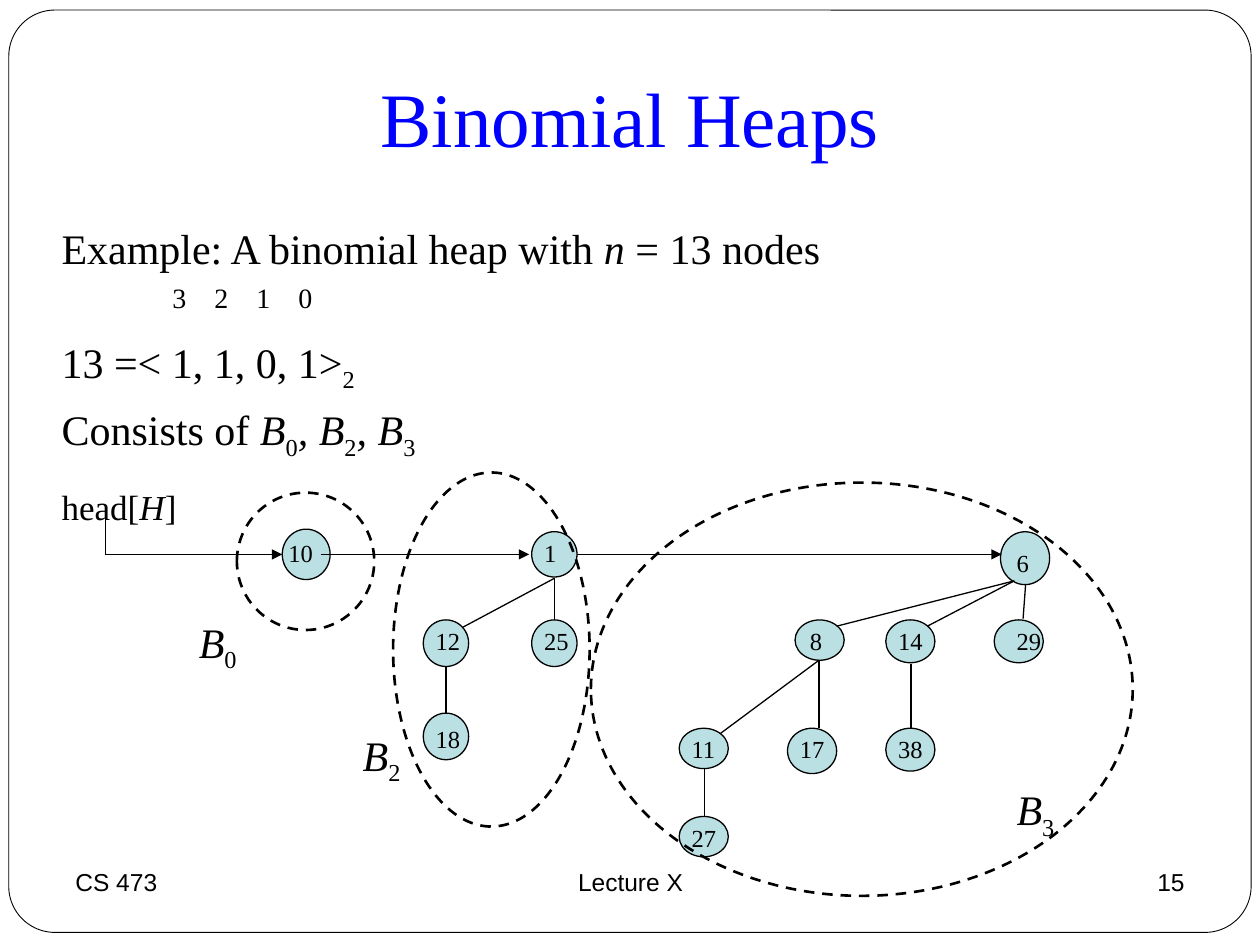
"""Build the binomial heap example slide."""
from lxml import etree
from pptx import Presentation
from pptx.dml.color import RGBColor
from pptx.enum.dml import MSO_LINE
from pptx.enum.shapes import MSO_CONNECTOR, MSO_SHAPE
from pptx.enum.text import MSO_ANCHOR, PP_ALIGN
from pptx.oxml.ns import qn
from pptx.util import Inches, Pt

STRAIGHT = MSO_CONNECTOR.STRAIGHT
OVAL, ROUNDED = MSO_SHAPE.OVAL, MSO_SHAPE.ROUNDED_RECTANGLE
DASH = MSO_LINE.DASH
TOP, MIDDLE = MSO_ANCHOR.TOP, MSO_ANCHOR.MIDDLE
LEFT, CENTER, RIGHT = PP_ALIGN.LEFT, PP_ALIGN.CENTER, PP_ALIGN.RIGHT
COLORS = {"ink": "000000", "title": "0000FF", "node": "BBE0E3", "paper": "FFFFFF"}
SERIF, SANS = "Times New Roman", "Arial"
ITALIC, SUB = {"italic": True}, {"sub": True}

prs = Presentation()
prs.slide_width, prs.slide_height = Inches(10), Inches(7.5)
slide = prs.slides.add_slide(prs.slide_layouts[6])
shapes = slide.shapes


def add_text(place, paragraphs, size, font=SERIF, color="ink", align=LEFT, anchor=TOP):
    frame = shapes.add_textbox(*map(Inches, place)).text_frame
    frame.word_wrap = True
    frame.vertical_anchor = anchor
    for number, (spacing, runs) in enumerate(paragraphs):
        paragraph = frame.paragraphs[0] if number == 0 else frame.add_paragraph()
        paragraph.alignment = align
        for name, value in spacing.items():
            setattr(paragraph, name, value)
        for words, changes in runs:
            run = paragraph.add_run()
            run.text = words
            look = {"size": Pt(size), "name": font, "italic": False} | changes
            if look.pop("sub", False):
                run._r.get_or_add_rPr().set("baseline", "-25000")
            for name, value in look.items():
                setattr(run.font, name, value)
            run.font.color.rgb = RGBColor.from_string(COLORS[color])
    return frame


def add_outline(kind, place, fill=None, width=0.75):
    shape = shapes.add_shape(kind, *map(Inches, place))
    shape.shadow.inherit = False
    if fill:
        shape.fill.solid()
        shape.fill.fore_color.rgb = RGBColor.from_string(COLORS[fill])
    else:
        shape.fill.background()
    shape.line.color.rgb = RGBColor.from_string(COLORS["ink"])
    shape.line.width = Pt(width)
    return shape


border = add_outline(ROUNDED, (0.07, 0.08, 9.86, 7.32), "paper", 0.5)
border.adjustments[0] = 0.05

for left, width, words, align in [
    (0.5, 2.33, "CS 473", LEFT),
    (3.42, 3.17, "Lecture X", CENTER),
    (7.17, 2.33, "15", RIGHT),
]:
    add_text((left, 6.83, width, 0.52), [({}, [(words, {})])], 14, SANS, align=align)

add_text((0.5, 0.3, 9, 1.25), [({}, [("Binomial Heaps", {})])], 44,
         color="title", align=CENTER, anchor=MIDDLE)

example = add_text((0.39, 1.72, 9.15, 5.05), [
    ({}, [("Example: A binomial heap with ", {}), ("n ", ITALIC), ("= 13 nodes", {})]),
    ({"space_before": Pt(6), "line_spacing": 0.6},
     [("\t", {}), ("3\t2\t1\t0", {"size": Pt(16)})]),
    ({"space_before": Pt(6), "line_spacing": 1.2}, [("13 =< 1, 1, 0, 1>", {}), ("2", SUB)]),
    ({"space_before": Pt(6)},
     [("Consists of ", {}), ("B", ITALIC), ("0", SUB), (", B", ITALIC), ("2", SUB),
      (", B", ITALIC), ("3", SUB)]),
    ({"space_before": Pt(14)},
     [("head[", {"size": Pt(20)}), ("H", {"size": Pt(20), "italic": True}),
      ("]", {"size": Pt(20)})]),
], 24)
bit_tabs = etree.SubElement(example.paragraphs[1]._p.get_or_add_pPr(), qn("a:tabLst"))
for bit in range(4):
    etree.SubElement(bit_tabs, qn("a:tab"), pos=str(Inches(0.88 + bit / 3)), algn="l")

nodes = [
    ("10", (2.24, 4.2, 0.38, 0.4), (2.19, 4.22)),
    ("1", (4.22, 4.22, 0.36, 0.36), (4.22, 4.22)),
    ("12", (3.36, 4.92, 0.36, 0.37), (3.36, 4.92)),
    ("25", (4.22, 4.92, 0.36, 0.37), (4.22, 4.92)),
    ("18", (3.36, 5.66, 0.36, 0.37), (3.36, 5.7)),
    ("6", (7.94, 4.22, 0.39, 0.42), (7.97, 4.3)),
    ("8", (6.31, 4.92, 0.39, 0.32), (6.33, 4.92)),
    ("14", (7.03, 4.92, 0.39, 0.34), (7.03, 4.92)),
    ("29", (7.89, 4.92, 0.39, 0.34), (7.97, 4.92)),
    ("11", (5.39, 5.78, 0.39, 0.32), (5.39, 5.78)),
    ("17", (6.25, 5.78, 0.39, 0.36), (6.25, 5.78)),
    ("38", (7.03, 5.78, 0.39, 0.34), (7.03, 5.78)),
    ("27", (5.39, 6.48, 0.39, 0.32), (5.39, 6.48)),
]
for key, circle, corner in nodes:
    add_outline(OVAL, circle, "node")

tree_edges = [
    (4.4, 4.59, 3.67, 4.98), (4.4, 4.59, 4.4, 4.92), (3.54, 5.29, 3.54, 5.66),
    (8.05, 4.61, 6.64, 4.97), (8.05, 4.61, 7.36, 4.97), (8.14, 4.64, 8.12, 4.91),
    (6.5, 5.24, 5.72, 5.82), (6.5, 5.24, 6.5, 5.78), (7.23, 5.27, 7.23, 5.78),
    (5.59, 6.1, 5.59, 6.48), (0.84, 4.06, 0.84, 4.4),
]
root_links = [(0.83, 4.4, 2.24, 4.4), (2.55, 4.4, 4.2, 4.4), (4.58, 4.4, 7.95, 4.4)]
for ends in tree_edges + root_links:
    link = shapes.add_connector(STRAIGHT, *map(Inches, ends))
    link.line.color.rgb = RGBColor.from_string(COLORS["ink"])
    link.line.width = Pt(0.75)
    if ends in root_links:
        etree.SubElement(link.line._get_or_add_ln(), qn("a:tailEnd"), type="triangle")
    etree.SubElement(link._element.spPr, qn("a:effectLst"))

for key, circle, corner in nodes:
    add_text((*corner, 0.49, 0.34), [({}, [(key, {})])], 14)

for order, corner, boundary in [
    ("3", (7.97, 6.17), (4.69, 3.83, 4.3, 3.28)),
    ("2", (2.78, 5.74), (3.12, 3.75, 1.56, 2.81)),
    ("0", (1.48, 4.84), (1.88, 3.91, 1.09, 1.09)),
]:
    add_text((*corner, 0.54, 0.56), [({}, [("B", ITALIC), (order, SUB)])], 24)
    add_outline(OVAL, boundary, width=1.5).line.dash_style = DASH

prs.save("out.pptx")
